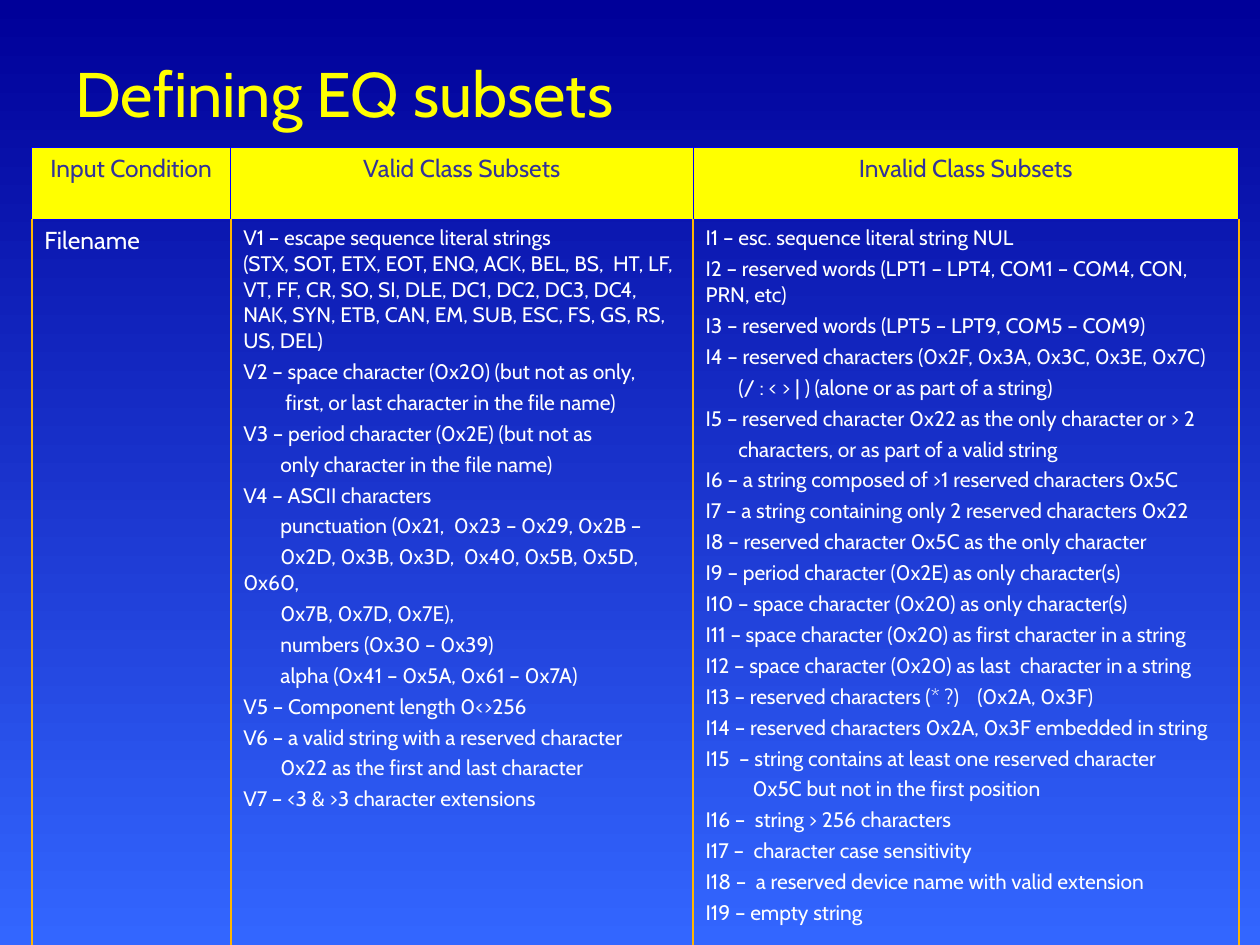
from dataclasses import dataclass

from lxml.etree import SubElement
from pptx import Presentation
from pptx.dml.color import RGBColor
from pptx.enum.text import MSO_ANCHOR, MSO_AUTO_SIZE, PP_ALIGN
from pptx.oxml.ns import qn
from pptx.slide import Slide
from pptx.table import _Cell
from pptx.text.text import _Paragraph
from pptx.util import Cm, Pt

FONT = "Cabin"
YELLOW = "FFFF00"
WHITE = "FFFFFF"
HEADER_TEXT = "333399"
BLUE = "0000FF"
ORANGE = "FFB601"
COLUMN_WIDTHS = (4.01, 9.32, 11.0)
ROW_HEIGHTS = (1.45, 18.24)


@dataclass(frozen=True)
class Line:
    text: str
    indent: float = 0
    tab_stop: float = 0


@dataclass(frozen=True)
class Border:
    color: str
    width: float


@dataclass(frozen=True)
class CellStyle:
    size: float
    color: str
    space_before: float
    alignment: PP_ALIGN
    fill: str
    top: Border
    others: Border


THIN = Border(BLUE, 0.45)
THICK = Border(ORANGE, 1.08)
HEADER = CellStyle(14, HEADER_TEXT, 3.5, PP_ALIGN.CENTER, YELLOW, THIN, THIN)
CONDITION = CellStyle(14, WHITE, 3.5, PP_ALIGN.LEFT, "", THIN, THICK)
SUBSET = CellStyle(12, WHITE, 3, PP_ALIGN.LEFT, "", THIN, THICK)

HEADINGS = ("Input Condition", "Valid Class Subsets", "Invalid Class Subsets")
VALID_SUBSETS = [
    Line("V1 – escape sequence literal strings\n"
         "(STX, SOT, ETX, EOT, ENQ, ACK, BEL, BS,  HT, LF, VT, FF, CR, SO, SI, DLE, "
         "DC1, DC2, DC3, DC4, NAK, SYN, ETB, CAN, EM, SUB, ESC, FS, GS, RS, US, DEL)"),
    Line("V2 – space character (0x20) (but not as only,"),
    Line("first, or last character in the file name)", 0.85),
    Line("V3 – period character (0x2E) (but not as"),
    Line("only character in the file name)", 0.75),
    Line("V4 – ASCII characters"),
    Line("punctuation (0x21,  0x23 – 0x29, 0x2B –", 0.75),
    Line("0x2D, 0x3B, 0x3D,  0x40, 0x5B, 0x5D, 0x60,", 0.75),
    Line("0x7B, 0x7D, 0x7E),", 0.75),
    Line("numbers (0x30 – 0x39)", 0.75),
    Line("alpha (0x41 – 0x5A, 0x61 – 0x7A)", 0.75),
    Line("V5 – Component length 0<>256"),
    Line("V6 – a valid string with a reserved character"),
    Line("0x22 as the first and last character", 0.75),
    Line("V7 – <3 & >3 character extensions"),
]
INVALID_SUBSETS = [
    Line("I1 – esc. sequence literal string NUL"),
    Line("I2 – reserved words (LPT1 – LPT4, COM1 – COM4, CON, PRN, etc)"),
    Line("I3 – reserved words (LPT5 – LPT9, COM5 – COM9)"),
    Line("I4 – reserved characters (0x2F, 0x3A, 0x3C, 0x3E, 0x7C)"),
    Line("(/ : < > | ) (alone or as part of a string)", 0.66),
    Line("I5 – reserved character 0x22 as the only character or > 2"),
    Line("characters, or as part of a valid string", 0.66),
    Line("I6 – a string composed of >1 reserved characters 0x5C"),
    Line("I7 – a string containing only 2 reserved characters 0x22"),
    Line("I8 – reserved character 0x5C as the only character"),
    Line("I9 – period character (0x2E) as only character(s)"),
    Line("I10 – space character (0x20) as only character(s)"),
    Line("I11 – space character (0x20) as first character in a string"),
    Line("I12 – space character (0x20) as last  character in a string"),
    Line("I13 – reserved characters (* ?)\t(0x2A, 0x3F)", tab_stop=5.48),
    Line("I14 – reserved characters 0x2A, 0x3F embedded in string"),
    Line("I15  – string contains at least one reserved character"),
    Line("0x5C but not in the first position", 0.95),
    Line("I16 –  string > 256 characters"),
    Line("I17 –  character case sensitivity"),
    Line("I18 –  a reserved device name with valid extension"),
    Line("I19 – empty string"),
]


def color(value: str) -> RGBColor:
    return RGBColor.from_string(value)


def format_runs(paragraph: _Paragraph, size: float, font_color: str) -> None:
    for run in paragraph.runs:
        run.font.name = FONT
        run.font.size = Pt(size)
        run.font.color.rgb = color(font_color)


def set_borders(cell: _Cell, style: CellStyle) -> None:
    properties = cell._tc.get_or_add_tcPr()
    for side in ("L", "R", "T", "B"):
        border = style.top if side == "T" else style.others
        line = SubElement(properties, qn(f"a:ln{side}"), w=str(Pt(border.width)))
        fill = SubElement(line, qn("a:solidFill"))
        SubElement(fill, qn("a:srgbClr"), val=border.color)


def set_layout(paragraph: _Paragraph, line: Line) -> None:
    properties = paragraph._p.get_or_add_pPr()
    if line.indent:
        properties.set("marL", "0")
        properties.set("indent", str(Cm(line.indent)))
    if line.tab_stop:
        tabs = SubElement(properties, qn("a:tabLst"))
        SubElement(tabs, qn("a:tab"), pos=str(Cm(line.tab_stop)), algn="l")


def fill_cell(cell: _Cell, lines: list[Line], style: CellStyle) -> None:
    set_borders(cell, style)
    if style.fill:
        cell.fill.solid()
        cell.fill.fore_color.rgb = color(style.fill)
    else:
        cell.fill.background()
    text_frame = cell.text_frame
    for index, line in enumerate(lines):
        paragraph = text_frame.add_paragraph() if index else text_frame.paragraphs[0]
        paragraph.text = line.text
        set_layout(paragraph, line)
        paragraph.alignment = style.alignment
        paragraph.space_before = Pt(style.space_before if index else 0)
        format_runs(paragraph, style.size, style.color)


def set_background(slide: Slide) -> None:
    fill = slide.background.fill
    fill.gradient()
    fill.gradient_angle = 270
    for stop, value in zip(fill.gradient_stops, ("000099", "3366FF")):
        stop.color.rgb = color(value)


def set_title(slide: Slide) -> None:
    title = slide.shapes.title
    title.left, title.top, title.width, title.height = Cm(1.27), Cm(0.76), Cm(22.86), Cm(2.21)
    text_frame = title.text_frame
    text_frame.text = "Defining EQ subsets"
    text_frame.auto_size = MSO_AUTO_SIZE.NONE
    text_frame.vertical_anchor = MSO_ANCHOR.MIDDLE
    paragraph = text_frame.paragraphs[0]
    paragraph.alignment = PP_ALIGN.LEFT
    format_runs(paragraph, 36, YELLOW)


def add_subsets_table(slide: Slide) -> None:
    table = slide.shapes.add_table(
        len(ROW_HEIGHTS), len(COLUMN_WIDTHS), Cm(0.64), Cm(2.97),
        Cm(sum(COLUMN_WIDTHS)), Cm(sum(ROW_HEIGHTS))).table
    table.first_row = False
    table.horz_banding = False
    for column, width in zip(table.columns, COLUMN_WIDTHS):
        column.width = Cm(width)
    for row, height in zip(table.rows, ROW_HEIGHTS):
        row.height = Cm(height)
    for index, heading in enumerate(HEADINGS):
        fill_cell(table.cell(0, index), [Line(heading)], HEADER)
    fill_cell(table.cell(1, 0), [Line("Filename")], CONDITION)
    fill_cell(table.cell(1, 1), VALID_SUBSETS, SUBSET)
    fill_cell(table.cell(1, 2), INVALID_SUBSETS, SUBSET)


def main() -> None:
    presentation = Presentation()
    presentation.slide_width = Cm(25.4)
    presentation.slide_height = Cm(19.05)
    slide = presentation.slides.add_slide(presentation.slide_layouts[5])
    set_background(slide)
    set_title(slide)
    add_subsets_table(slide)
    presentation.save("out.pptx")


if __name__ == "__main__":
    main()
